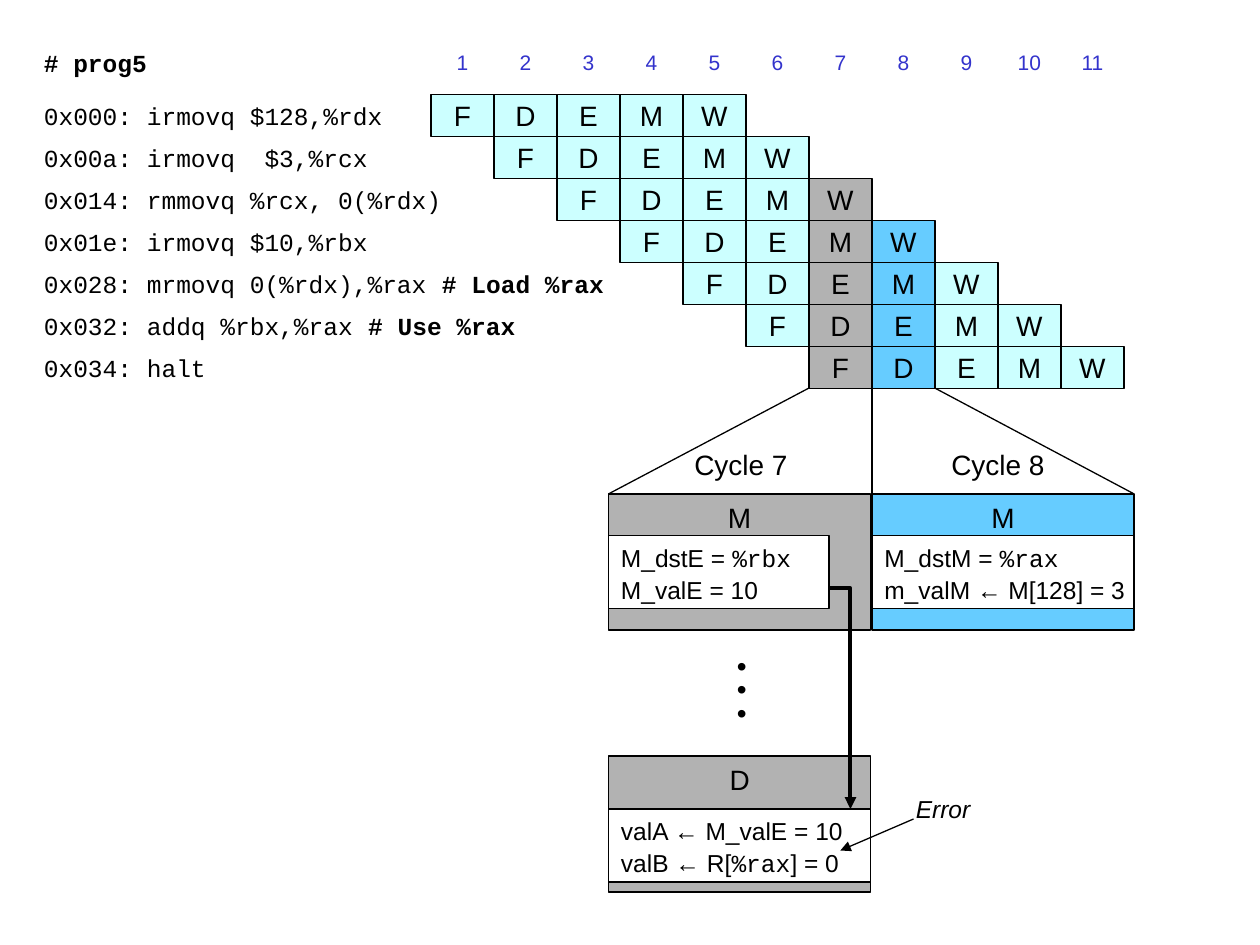
from dataclasses import dataclass

from lxml.etree import SubElement
from pptx import Presentation
from pptx.dml.color import RGBColor
from pptx.enum.shapes import MSO_CONNECTOR as Connector, MSO_SHAPE as Preset
from pptx.enum.text import MSO_ANCHOR as Anchor, PP_ALIGN as Align
from pptx.oxml.ns import qn
from pptx.util import Inches, Pt


@dataclass(frozen=True)
class Theme:
    black: str = "000000"
    white: str = "FFFFFF"
    cycle: str = "3333CC"
    stage: str = "CCFFFF"
    gray: str = "B2B2B2"
    blue: str = "66CCFF"
    sans: str = "Arial"
    mono: str = "Courier New"
    small: int = 12
    body: int = 14
    large: int = 16


theme = Theme()
presentation = Presentation()
presentation.slide_width = Inches(10)
presentation.slide_height = Inches(7.5)
slide = presentation.slides.add_slide(presentation.slide_layouts[6])


def add_text(text, left, top, width, height, fill=None, line=None, size=theme.large,
             font=theme.sans, color=theme.black, bold=False, italic=False, accent_font=None,
             accent_bold=False, align=Align.LEFT, anchor=Anchor.MIDDLE, spacing=None, wrap=False):
    box = [Inches(value) for value in (left, top, width, height)]
    if fill:
        shape = slide.shapes.add_shape(Preset.RECTANGLE, *box)
        shape.shadow.inherit = False
        shape.fill.solid()
        shape.fill.fore_color.rgb = RGBColor.from_string(fill)
        if line:
            shape.line.color.rgb = RGBColor.from_string(theme.black)
            shape.line.width = Pt(line)
        else:
            shape.line.fill.background()
    else:
        shape = slide.shapes.add_textbox(*box)
    frame = shape.text_frame
    frame.word_wrap = wrap
    frame.vertical_anchor = anchor
    for index, content in enumerate(text.split("\n")):
        paragraph = frame.add_paragraph() if index else frame.paragraphs[0]
        paragraph.alignment = align
        if spacing:
            paragraph.line_spacing = spacing
        for position, part in enumerate(content.split("|")):
            accented = position % 2 == 1
            run = paragraph.add_run()
            run.text = part
            run.font.name = accent_font if accented and accent_font else font
            run.font.size = Pt(size)
            run.font.bold = bold or (accented and accent_bold)
            run.font.italic = italic
            run.font.color.rgb = RGBColor.from_string(color)


def add_line(*points, width=0.75, arrow=False):
    corners = [(Inches(x), Inches(y)) for x, y in points]
    if len(corners) == 2:
        shape = slide.shapes.add_connector(Connector.STRAIGHT, *corners[0], *corners[1])
        SubElement(shape._element.spPr, qn("a:effectLst"))
    else:
        builder = slide.shapes.build_freeform(*corners[0])
        builder.add_line_segments(corners[1:], close=False)
        shape = builder.convert_to_shape()
        shape.shadow.inherit = False
        shape.fill.background()
    shape.line.color.rgb = RGBColor.from_string(theme.black)
    shape.line.width = Pt(width)
    if arrow:
        SubElement(shape.line._get_or_add_ln(), qn("a:tailEnd"), type="triangle")


cell_width, cell_height = 0.5, 1 / 3
code_left, grid_left, grid_top = 0.25, 3.42, 0.75
header_top, code_width = 0.33, 2.83
instructions = [
    "0x000: irmovq $128,%rdx",
    "0x00a: irmovq  $3,%rcx",
    "0x014: rmmovq %rcx, 0(%rdx)",
    "0x01e: irmovq $10,%rbx",
    "0x028: mrmovq 0(%rdx),%rax |# Load %rax",
    "0x032: addq %rbx,%rax |# Use %rax",
    "0x034: halt",
]
cycle_fills = {7: theme.gray, 8: theme.blue}

add_text("# prog5", code_left, header_top, code_width, cell_height, fill=theme.white,
         size=theme.body, font=theme.mono, bold=True)
for cycle in range(1, 12):
    add_text(str(cycle), grid_left + (cycle - 1) * cell_width, header_top, cell_width, cell_height,
             fill=theme.white, size=theme.small, color=theme.cycle, align=Align.CENTER)

for row, instruction in enumerate(instructions):
    top = grid_top + row * cell_height
    add_text(instruction, code_left, top, code_width, cell_height, fill=theme.white,
             size=theme.body, font=theme.mono, accent_bold=True)
    for column, stage in enumerate("FDEMW", start=row):
        add_text(stage, grid_left + column * cell_width, top, cell_width, cell_height,
                 fill=cycle_fills.get(column + 1, theme.stage), line=1, align=Align.CENTER)

left_panel, right_panel, panel_right = 4.83, 6.92, 9
panel_top, decode_top, grid_bottom = 3.92, 6, 3.08
panel_width, panel_height, detail_height = 2.08, 1.08, 0.58

add_line((6.42, grid_bottom), (left_panel, panel_top))
add_line((right_panel, 2.75), (right_panel, panel_top))
add_line((7.42, grid_bottom), (panel_right, panel_top))
add_text("Cycle 7", 4.92, 3.5, 1.92, 0.37, align=Align.CENTER, anchor=Anchor.TOP, wrap=True)
add_text("Cycle 8", 6.92, 3.5, 2, 0.37, align=Align.CENTER, anchor=Anchor.TOP, wrap=True)

panels = [
    ("M", right_panel, panel_top, theme.blue, 4.25, panel_width,
     "M_dstM = |%rax\nm_valM ← M[128] = 3"),
    ("D", left_panel, decode_top, theme.gray, 6.42, panel_width,
     "valA ← M_valE = 10\nvalB ← R[|%rax|] = 0"),
    ("M", left_panel, panel_top, theme.gray, 4.25, 1.75,
     "M_dstE = |%rbx\nM_valE = 10"),
]
for stage, left, top, fill, detail_top, detail_width, detail in panels:
    add_text(stage, left, top, panel_width, panel_height, fill=fill, line=0.75,
             align=Align.CENTER, anchor=Anchor.TOP)
    add_text(detail, left, detail_top, detail_width, detail_height, fill=theme.white, line=1,
             size=theme.body, accent_font=theme.mono, spacing=1.1)

add_text("Error", 7.17, 6.25, 0.63, 0.33, size=theme.body, italic=True, anchor=Anchor.TOP)
add_line((7.25, 6.5), (6.67, 6.75), arrow=True)
add_line((6.58, 4.67), (6.75, 4.67), (6.75, 6.42), width=2.25, arrow=True)
add_text("•\n•\n•", 5.75, 5.17, 0.28, 0.66, anchor=Anchor.TOP, spacing=0.7)

presentation.save("out.pptx")
